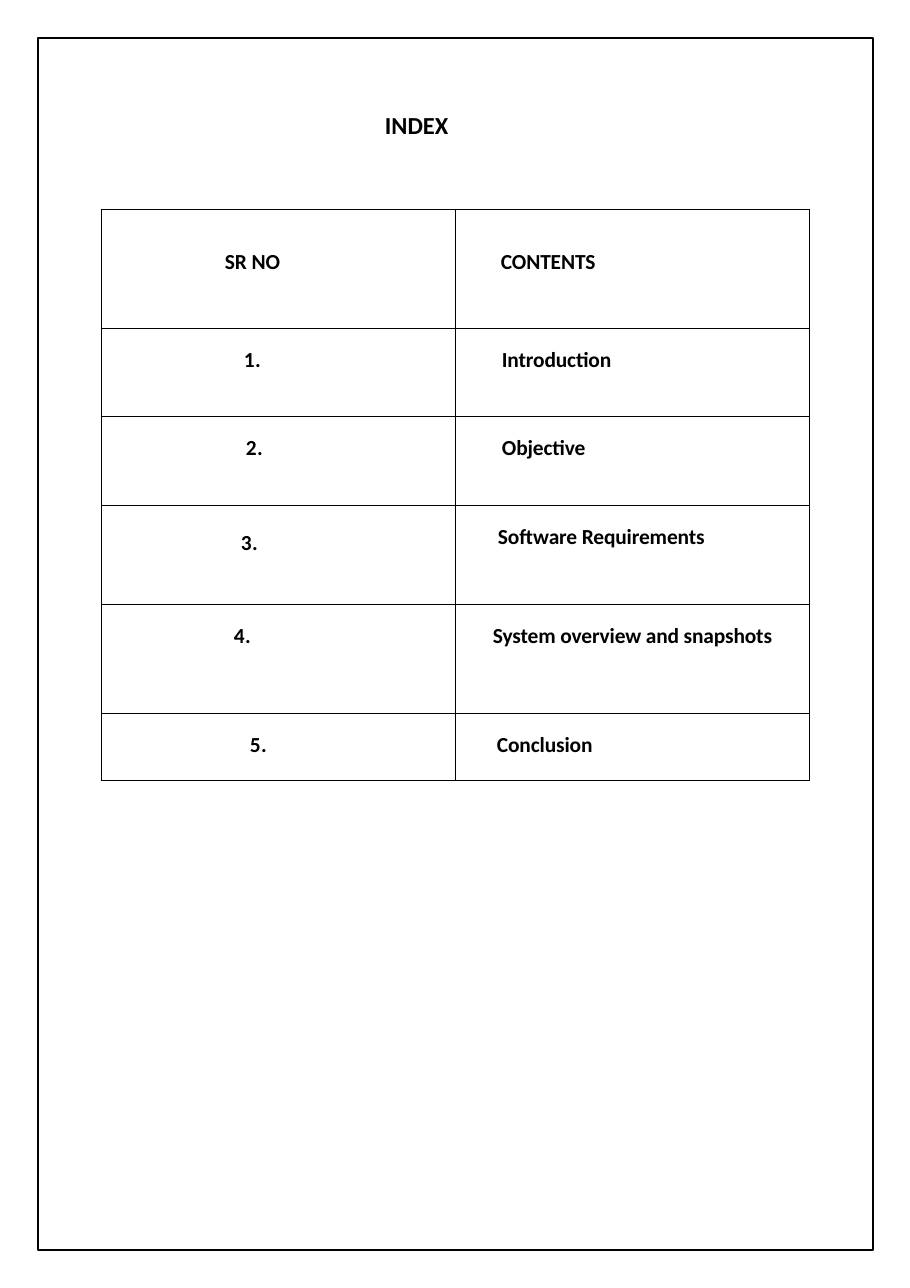
from lxml import etree
from pptx import Presentation
from pptx import util as u
from pptx.dml.color import RGBColor
from pptx.enum import shapes, text
from pptx.oxml.ns import qn

SCALE = 8298


def px(length):
    return u.Emu(length * SCALE)


def style(paragraph, size, spacing=0):
    paragraph.alignment = text.PP_ALIGN.LEFT
    for run in paragraph.runs:
        run.font.name = "Calibri"
        run.font.size = u.Pt(size)
        run.font.bold = True
        run.font.color.rgb = RGBColor.from_string("000000")
        run._r.get_or_add_rPr().set("spc", str(spacing))


deck = Presentation()
deck.slide_width, deck.slide_height = px(910), px(1288)
slide = deck.slides.add_slide(deck.slide_layouts[5])

heading = slide.shapes.title
heading.left, heading.top, heading.width, heading.height = px(385), px(107), px(80), px(33)
heading_frame = heading.text_frame
heading_frame.text = "INDEX"
heading_frame.word_wrap = True
heading_frame.auto_size = text.MSO_AUTO_SIZE.NONE
heading_frame.vertical_anchor = text.MSO_ANCHOR.TOP
heading_frame.margin_left = heading_frame.margin_right = heading_frame.margin_bottom = 0
heading_frame.margin_top = px(3)
style(heading_frame.paragraphs[0], 16)

# Each entry: row height, then (label, left inset, top inset) per column
index_rows = [
    (119, ("SR NO", 124, 40), ("CONTENTS", 46, 40)),
    (88, ("1.", 143, 19), ("Introduction", 47, 19)),
    (89, ("2.", 145, 19), ("Objective", 47, 19)),
    (99, ("3.", 140, 25), ("Software Requirements", 43, 19)),
    (109, ("4.", 133, 19), ("System overview and snapshots", 38, 19)),
    (68, ("5.", 149, 19), ("Conclusion", 42, 19)),
]
total_height = sum(row[0] for row in index_rows)
index = slide.shapes.add_table(
    len(index_rows), 2, px(101), px(209), px(708), px(total_height)).table
index.first_row = False
index.horz_banding = False
for column in index.columns:
    column.width = px(354)

for r, (height, *entries) in enumerate(index_rows):
    index.rows[r].height = px(height)
    for c, (label, left, top) in enumerate(entries):
        cell = index.cell(r, c)
        cell.text_frame.text = label
        cell.margin_left, cell.margin_top = px(left), px(top)
        cell.margin_right = cell.margin_bottom = 0
        cell.vertical_anchor = text.MSO_ANCHOR.TOP
        style(cell.text_frame.paragraphs[0], 14, -10 if c or r == 0 else 10)
        cell.fill.background()
        properties = cell._tc.get_or_add_tcPr()
        for position, side in enumerate(("a:lnL", "a:lnR", "a:lnT", "a:lnB")):
            border = etree.Element(qn(side), w=str(u.Pt(0.5)))
            ink = etree.SubElement(border, qn("a:solidFill"))
            etree.SubElement(ink, qn("a:srgbClr"), val="000000")
            properties.insert(position, border)

page_border = slide.shapes.add_shape(
    shapes.MSO_SHAPE.RECTANGLE, px(38), px(38), px(835), px(1212))
page_border.shadow.inherit = False
page_border.fill.background()
page_border.line.color.rgb = RGBColor.from_string("000000")
page_border.line.width = u.Pt(1.5)

deck.save("out.pptx")
